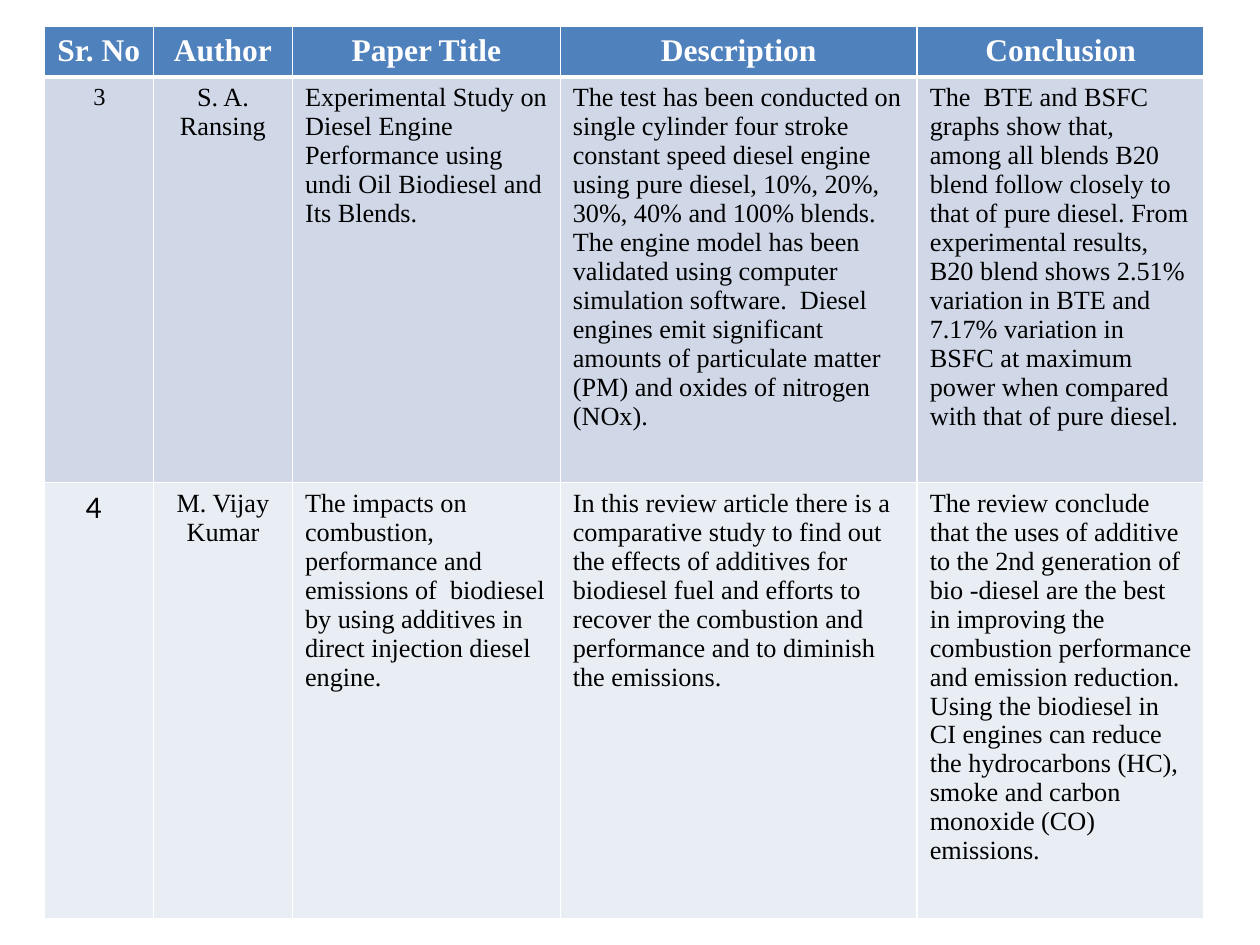
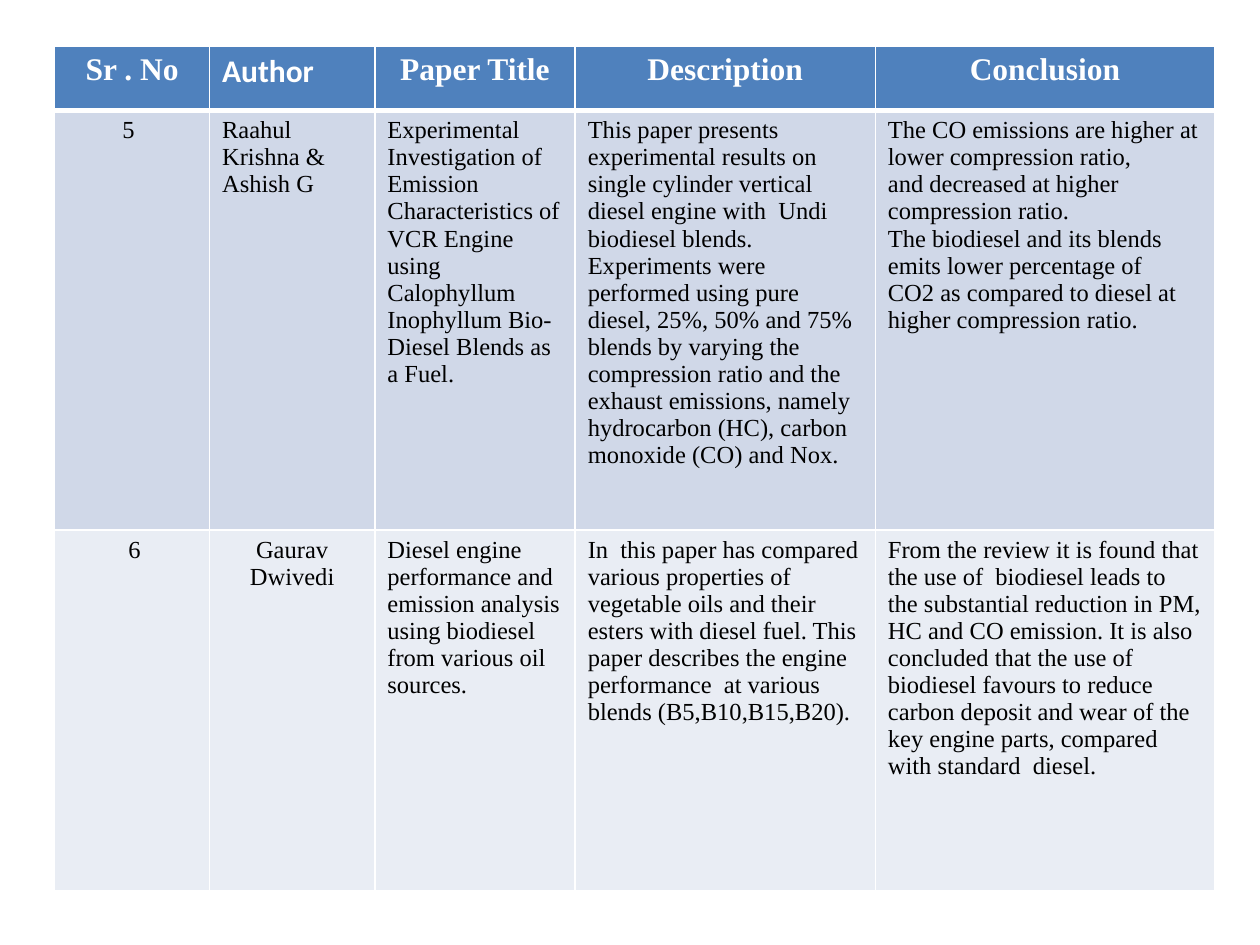
from pptx import Presentation
from pptx.dml.color import RGBColor
from pptx.enum.text import PP_ALIGN as Align
from pptx.oxml.ns import qn
from pptx.util import Pt
from lxml.etree import SubElement as Sub

# Shared look
WHITE, BLACK = "FFFFFF", "000000"
FILLS = ["4F81BD", "D0D8E8", "E9EDF4"]
SERIF, SANS = "Times New Roman", "Calibri"
HEAD = {"size": 18, "bold": True, "color": WHITE, "align": Align.CENTER}
BODY = {"size": 15, "bold": False, "color": BLACK, "align": Align.LEFT}
BASE = {"name": SERIF, "indent": 0}
MID = {"align": Align.CENTER}

# Review tables: "at" is left and top; "marks" holds the cells that differ
FIRST = {
    "at": (25.2, 15.2),
    "cols": [62.5, 79.5, 153, 204, 164],
    "rows": [28.8, 231.8, 249.5],
    "size": 15,
    "marks": {
        (1, 0): {"size": 14, "indent": 21},
        (1, 1): MID,
        (2, 0): {"size": 18, "name": SANS, "indent": 16.5},
        (2, 1): MID,
    },
    "text": [
        ["Sr. No", "Author", "Paper Title", "Description", "Conclusion"],
        ["3", "S. A. Ransing",
         "Experimental Study on Diesel Engine Performance using undi Oil "
         "Biodiesel and Its Blends.",
         "The test has been conducted on single cylinder four stroke constant "
         "speed diesel engine using pure diesel, 10%, 20%, 30%, 40% and 100% "
         "blends. The engine model has been validated using computer "
         "simulation software.  Diesel engines emit significant amounts of "
         "particulate matter (PM) and oxides of nitrogen (NOx).",
         "The  BTE and BSFC graphs show that, among all blends B20 blend "
         "follow closely to that of pure diesel. From experimental results, "
         "B20 blend shows 2.51%\n"
         "variation in BTE and 7.17% variation in BSFC at maximum power when "
         "compared with that of pure diesel."],
        ["4", "M. Vijay Kumar",
         "The impacts on combustion, performance and emissions of  biodiesel "
         "by using additives in direct injection diesel engine.",
         "In this review article there is a comparative study to find out the "
         "effects of additives for biodiesel fuel and efforts to recover the "
         "combustion and performance and to diminish the emissions.",
         "The review conclude that the uses of additive to the 2nd generation "
         "of bio -diesel are the best in improving the combustion performance "
         "and emission reduction. Using the biodiesel in CI engines can reduce "
         "the hydrocarbons (HC), smoke and carbon monoxide (CO) emissions."],
    ],
}

SECOND = {
    "at": (31.2, 26.6),
    "cols": [88.5, 94.5, 114.5, 171.5, 194],
    "rows": [36.6, 239.8, 206],
    "size": 14,
    "marks": {
        (0, 1): {"name": SANS, "align": Align.LEFT},
        (1, 0): {"indent": 31.5},
        (2, 0): {"indent": 35},
        (2, 1): MID,
    },
    "text": [
        ["Sr . No", "Author", "Paper Title", "Description", "Conclusion"],
        ["5", "Raahul Krishna & Ashish G",
         "Experimental Investigation of Emission Characteristics of VCR "
         "Engine using\n"
         "Calophyllum Inophyllum Bio-Diesel Blends as a Fuel.",
         "This paper presents experimental results on single cylinder vertical "
         "diesel engine with  Undi biodiesel blends. Experiments were "
         "performed using pure diesel, 25%, 50% and 75% blends by varying the "
         "compression ratio and the exhaust emissions, namely hydrocarbon "
         "(HC), carbon monoxide (CO) and Nox.",
         "The CO emissions are higher at lower compression ratio,\n"
         "and decreased at higher compression ratio.\n"
         "The biodiesel and its blends emits lower percentage of\n"
         "CO2 as compared to diesel at higher compression ratio."],
        ["6", "Gaurav Dwivedi",
         "Diesel engine performance and emission analysis using biodiesel "
         "from various oil sources.",
         "In  this paper has compared various properties of vegetable oils and "
         "their esters with diesel fuel. This paper describes the engine "
         "performance  at various blends (B5,B10,B15,B20).",
         "From the review it is found that the use of  biodiesel leads to the "
         "substantial reduction in PM, HC and CO emission. It is also "
         "concluded that the use of biodiesel favours to reduce carbon deposit "
         "and wear of the key engine parts, compared with standard  diesel."],
    ],
}


def paint(fill, color):
    fill.solid()
    fill.fore_color.rgb = RGBColor.from_string(color)


def edge(cell, row):
    """White cell borders, thick between the header and the body."""
    props = cell._tc.get_or_add_tcPr()
    wide = {"T": row == 1, "B": row == 0}
    for side in "LRTB":
        width = Pt(3 if wide.get(side) else 1)
        line = Sub(props, qn(f"a:ln{side}"), w=str(width))
        Sub(Sub(line, qn("a:solidFill")), qn("a:srgbClr"), val=WHITE)


def write(cell, text, look):
    cell.text = text
    for para in cell.text_frame.paragraphs:
        para.alignment = look["align"]
        if look["indent"]:
            para._p.get_or_add_pPr().set("indent", str(Pt(look["indent"])))
        for run in para.runs:
            font = {"name": look["name"], "bold": look["bold"],
                    "size": Pt(look["size"])}
            for key, value in font.items():
                setattr(run.font, key, value)
            paint(run.font.fill, look["color"])


def review(deck, data):
    """One slide with a table of reviewed papers."""
    slide = deck.slides.add_slide(deck.slide_layouts[6])
    cols, rows = data["cols"], data["rows"]
    box = [Pt(n) for n in (*data["at"], sum(cols), sum(rows))]
    grid = slide.shapes.add_table(len(rows), len(cols), *box).table
    for col, width in zip(grid.columns, cols):
        col.width = Pt(width)
    for row, height in zip(grid.rows, rows):
        row.height = Pt(height)

    # Cells
    for r, line in enumerate(data["text"]):
        kind = {**BODY, "size": data["size"]} if r else HEAD
        for c, text in enumerate(line):
            cell = grid.cell(r, c)
            edge(cell, r)
            paint(cell.fill, FILLS[r])
            write(cell, text, {**BASE, **kind, **data["marks"].get((r, c), {})})


def main():
    deck = Presentation()
    deck.slide_width, deck.slide_height = Pt(720), Pt(540)
    for data in (FIRST, SECOND):
        review(deck, data)
    deck.save("out.pptx")


if __name__ == "__main__":
    main()
